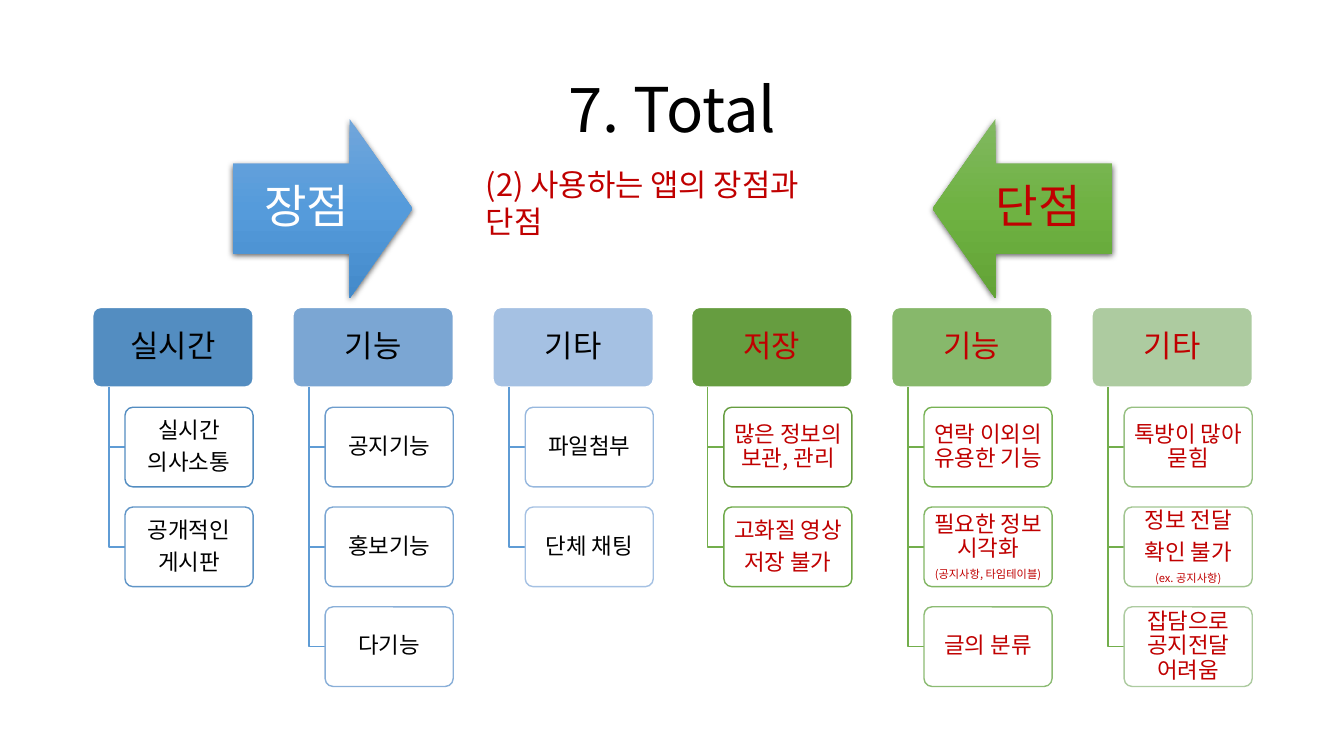
from lxml import etree
from pptx import Presentation
from pptx.dml.color import RGBColor
from pptx.enum.shapes import MSO_SHAPE
from pptx.enum.text import MSO_ANCHOR, PP_ALIGN
from pptx.oxml import parse_xml
from pptx.oxml.ns import nsdecls, qn
from pptx.util import Inches, Pt

ROUNDED = MSO_SHAPE.ROUNDED_RECTANGLE
RIGHT_ARROW, LEFT_ARROW = MSO_SHAPE.RIGHT_ARROW, MSO_SHAPE.LEFT_ARROW
MIDDLE, TOP = MSO_ANCHOR.MIDDLE, MSO_ANCHOR.TOP
CENTER, LEFT = PP_ALIGN.CENTER, PP_ALIGN.LEFT

FONT = "Noto Sans CJK KR"
BLACK = RGBColor(0x00, 0x00, 0x00)
WHITE = RGBColor(0xFF, 0xFF, 0xFF)
RED = RGBColor(0xC0, 0x00, 0x00)
BLUE_LINK = RGBColor(0x5F, 0x9C, 0xD5)
GREEN_LINK = RGBColor(0x73, 0xAE, 0x4C)


def colors(codes):
    return [RGBColor.from_string(code) for code in codes.split()]


BLUE_ARROW = colors("71A6DB 559BDB 448ACA")
GREEN_ARROW = colors("81B861 6FB242 62A336")
BLUE_HEADS = colors("538DC1 7BA6D3 A5C1E3")
GREEN_HEADS = colors("669D40 87B86B ADCBA0")
BLUE_EDGES = colors("538DC1 6095C7 6E9DCD 7BA6D3 89AFD8 97B8DE A5C1E3")
GREEN_EDGES = colors("669D40 6EA949 77B254 82B664 8CBB73 97C082 A2C591 ADCBA0")

# Each column: heading, then cards; a card is a list of (text, size) lines
PROS = [
    ("실시간", [[("실시간", 16), ("의사소통", 16)],
             [("공개적인", 16), ("게시판", 16)]]),
    ("기능", [[("공지기능", 16)], [("홍보기능", 16)], [("다기능", 16)]]),
    ("기타", [[("파일첨부", 16)], [("단체 채팅", 16)]]),
]
CONS = [
    ("저장", [[("많은 정보의 보관, 관리", 16)],
            [("고화질 영상", 16), ("저장 불가", 16)]]),
    ("기능", [[("연락 이외의 유용한 기능", 16)],
            [("필요한 정보 시각화", 16), ("(공지사항, 타임테이블)", 8)],
            [("글의 분류", 16)]]),
    ("기타", [[("톡방이 많아 묻힘", 16)],
            [("정보 전달", 16), ("확인 불가", 16), ("(ex. 공지사항)", 8)],
            [("잡담으로 공지전달 어려움", 16)]]),
]

# Column measures in inches
COLUMN_STEP, ROW_STEP = 1.985, 0.99
HEAD_WIDTH, CARD_WIDTH, BOX_HEIGHT = 1.59, 1.27, 0.79
LINK_INDENT = 0.16


def write(shape, lines, color, margins, anchor=MIDDLE, align=CENTER,
          spacing=0.9, after=0.35):
    frame = shape.text_frame
    frame.word_wrap = True
    frame.vertical_anchor = anchor
    frame.margin_left = frame.margin_right = Inches(margins[0])
    frame.margin_top = frame.margin_bottom = Inches(margins[1])
    for index, (text, size) in enumerate(lines):
        para = frame.add_paragraph() if index else frame.paragraphs[0]
        para.text = text
        para.alignment = align
        para.line_spacing = spacing
        para.space_after = Pt(size * after)
        para.font.size = Pt(size)
        para.font.color.rgb = color
        para.font.name = FONT
        # Korean glyphs take the East Asian typeface
        defaults = para.font._element if hasattr(para.font, "_element") else para.font._rPr
        etree.SubElement(defaults, qn("a:ea")).set("typeface", FONT)


def add_text(page, box, text, size, color, **layout):
    shape = page.shapes.add_textbox(*map(Inches, box))
    write(shape, [(text, size)], color, (0.1, 0.05), after=0, **layout)


def add_arrow(page, left, top, preset, label, label_color, shades):
    side = Inches(1.78)
    arrow = page.shapes.add_shape(preset, Inches(left), Inches(top), side, side)
    arrow.adjustments[0], arrow.adjustments[1] = 0.5, 0.35
    arrow.line.fill.background()
    # Three-stop vertical gradient and a soft shadow below
    stops = "".join(
        f'<a:gs pos="{index * 50000}"><a:srgbClr val="{shade}"/></a:gs>'
        for index, shade in enumerate(shades))
    properties = arrow._element.spPr
    properties.find(qn("a:prstGeom")).addnext(parse_xml(
        f'<a:gradFill {nsdecls("a")}><a:gsLst>{stops}</a:gsLst>'
        '<a:lin ang="5400000" scaled="0"/></a:gradFill>'))
    properties.append(parse_xml(
        f'<a:effectLst {nsdecls("a")}><a:outerShdw blurRad="57150" '
        'dist="19050" dir="5400000" algn="ctr" rotWithShape="0">'
        '<a:srgbClr val="000000"><a:alpha val="63000"/></a:srgbClr>'
        '</a:outerShdw></a:effectLst>'))
    write(arrow, [(label, 33)], label_color, (0.26, 0.26))


def add_box(page, left, top, width, fill, edge, lines, color, margins):
    box = page.shapes.add_shape(ROUNDED, Inches(left), Inches(top),
                                Inches(width), Inches(BOX_HEIGHT))
    box.adjustments[0] = 0.1
    box.shadow.inherit = False
    box.fill.solid()
    box.fill.fore_color.rgb = fill
    box.line.color.rgb = edge
    box.line.width = Pt(1)
    write(box, lines, color, margins)


def add_link(page, left, top, bottom, color):
    builder = page.shapes.build_freeform(Inches(left), Inches(top))
    builder.add_line_segments(
        [(Inches(left), Inches(bottom)),
         (Inches(left + LINK_INDENT), Inches(bottom))], close=False)
    link = builder.convert_to_shape()
    link.shadow.inherit = False
    link.fill.background()
    link.line.color.rgb = color
    link.line.width = Pt(1)


def add_hierarchy(page, left, top, columns, heads, edges, link_color, color):
    edge = iter(edges)
    for index, (heading, cards) in enumerate(columns):
        x = left + index * COLUMN_STEP
        add_box(page, x, top, HEAD_WIDTH, heads[index], WHITE,
                [(heading, 22)], color, (0.05, 0.03))
        for row, lines in enumerate(cards, start=1):
            y = top + row * ROW_STEP
            add_link(page, x + LINK_INDENT, top + BOX_HEIGHT,
                     y + BOX_HEIGHT / 2, link_color)
            add_box(page, x + 2 * LINK_INDENT, y, CARD_WIDTH, WHITE,
                    next(edge), lines, color, (0.03, 0.02))


def build_total(page):
    # Title and arrows
    add_text(page, (0.92, 0.39, 11.5, 1.45), "7. Total", 44, BLACK)
    add_arrow(page, 2.31, 1.18, RIGHT_ARROW, "장점", WHITE, BLUE_ARROW)
    add_arrow(page, 9.25, 1.18, LEFT_ARROW, "단점", RED, GREEN_ARROW)
    add_text(page, (4.72, 1.6, 3.9, 0.47), "(2) 사용하는 앱의 장점과 단점", 22, RED,
             anchor=TOP, align=LEFT, spacing=1.0)
    # Strengths and weaknesses
    add_hierarchy(page, 0.92, 3.05, PROS, BLUE_HEADS, BLUE_EDGES, BLUE_LINK, BLACK)
    add_hierarchy(page, 6.86, 3.05, CONS, GREEN_HEADS, GREEN_EDGES, GREEN_LINK, RED)


def main():
    deck = Presentation()
    deck.slide_width, deck.slide_height = Inches(13.33), Inches(7.5)
    build_total(deck.slides.add_slide(deck.slide_layouts[6]))
    deck.save("out.pptx")


if __name__ == "__main__":
    main()
